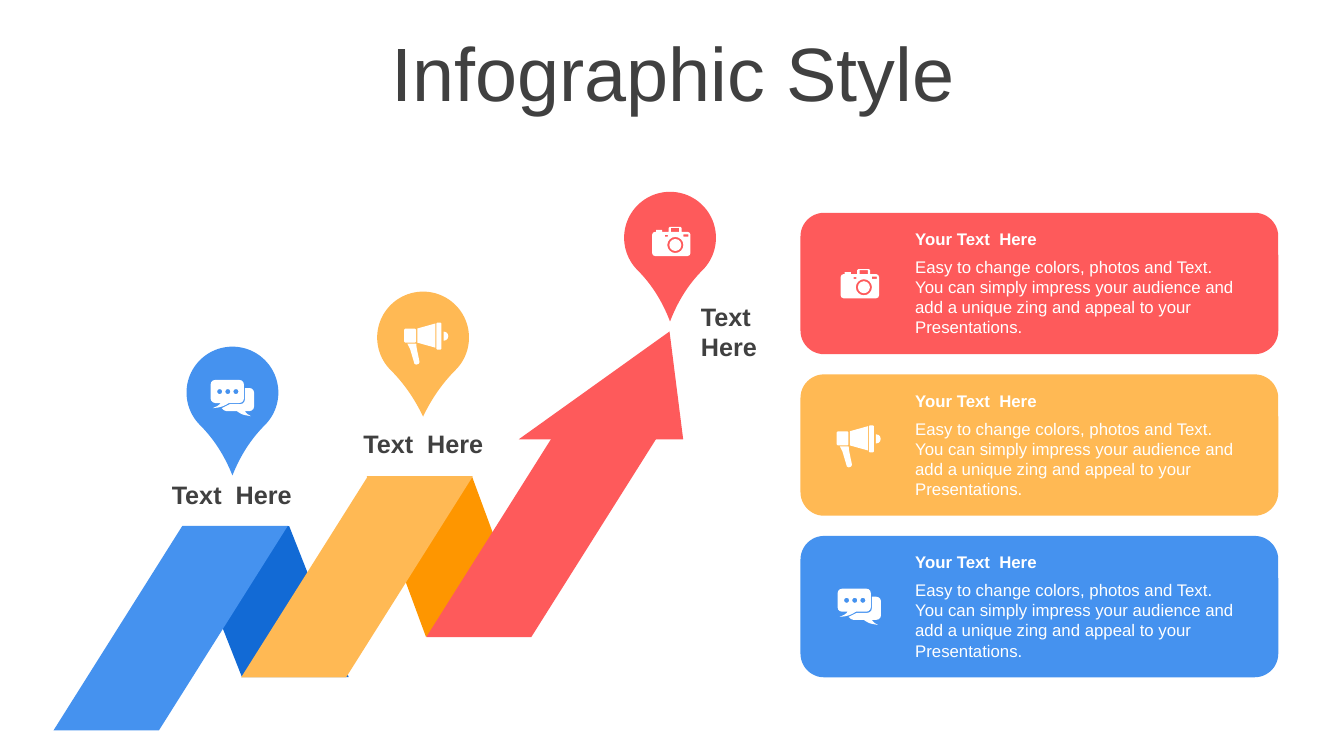
import math

import pptx
import pptx.dml.color
import pptx.enum.shapes
import pptx.enum.text
import pptx.util

Pt = pptx.util.Pt
RGBColor = pptx.dml.color.RGBColor
SHAPE = pptx.enum.shapes.MSO_SHAPE
ALIGN = pptx.enum.text.PP_ALIGN
ANCHOR = pptx.enum.text.MSO_ANCHOR


class Theme:
    font = "Arial"
    red = "FE5A5B"
    orange = "FFB954"
    dark_orange = "FE9600"
    blue = "4592EF"
    dark_blue = "126AD5"
    white = "FFFFFF"
    text = "404040"
    title_size = 54
    label_size = 18
    card_size = 12


def box(left, top, right, bottom, radius=0):
    """Return the corners of a rectangle as (x, y, radius)."""
    return [(left, top, radius), (right, top, radius),
            (right, bottom, radius), (left, bottom, radius)]


def round_corners(corners):
    """Turn (x, y, radius) corners into outline points, with more points on larger arcs."""
    points = []
    for index, (x, y, radius) in enumerate(corners):
        if not radius:
            points.append((Pt(x), Pt(y)))
            continue
        ends = []
        for neighbour in (corners[index - 1], corners[(index + 1) % len(corners)]):
            ratio = radius / math.dist((x, y), neighbour[:2])
            ends.append(((neighbour[0] - x) * ratio, (neighbour[1] - y) * ratio))
        steps = math.ceil((radius + 1) / 2)
        for step in range(steps + 1):
            t = step / steps
            start_weight = (1 - t) ** 3 + 1.35 * t * (1 - t) ** 2
            end_weight = t ** 3 + 1.35 * (1 - t) * t ** 2
            point = tuple(Pt(origin + start_weight * start + end_weight * end)
                          for origin, start, end in zip((x, y), *ends))
            if not points or math.dist(point, points[-1]) > Pt(0.05):
                points.append(point)
    return points


# Icon outlines in points from the icon's top left corner
camera = [
    [(0, 3.6, 2.1), (2.9, 3.6, 0), (2.9, 2.2, 0), (7.2, 2.2, 0), (7.2, 3.6, 0),
     (11.8, 3.6, 0), (11.8, 0, 0.8), (21, 0, 0.8), (21, 3.6, 0),
     (27.4, 3.6, 2.1), (27.4, 20.9, 2.1), (0, 20.9, 2.1)],
    box(13.5, 0.8, 19.4, 3.6),
    box(9.2, 5.7, 11.2, 7.1),
    box(22.3, 5.4, 25.9, 7.1),
    box(10.85, 7.25, 22.35, 18.75, 5.75),
    box(12.3, 8.7, 20.9, 17.3, 4.3),
]
megaphone = [
    [(2.3, 15.1, 0), (8.6, 15.1, 0), (8.9, 18, 0), (11.2, 29.3, 1),
     (7.6, 30.4, 1), (4.2, 18.9, 0)],
    [(28.1, 6.5, 0), (31.5, 6.5, 3.2), (31.5, 13, 3.2), (28.1, 13, 0)],
    box(0, 4.3, 8.5, 14.4, 0.8),
    [(9.4, 4.3, 0), (22.3, 0.7, 0), (22.3, 18, 0), (9.4, 14.4, 0)],
    box(23, 0, 26.6, 19.4, 0.7),
]
chat = [
    [(0, 0, 3.3), (23.8, 0, 3.3), (23.8, 16.5, 3.3), (13, 16.5, 0),
     (8.3, 19.4, 3), (1.5, 20.2, 0), (5.6, 18.3, 1), (7.2, 16.5, 0), (0, 16.5, 3.3)],
    [(24.5, 5.8, 0), (31, 5.8, 3.3), (31, 22.3, 3.3), (24.5, 22.3, 0),
     (25.4, 23.9, 1), (28.8, 25.9, 0), (22.5, 24.8, 2), (18.7, 22.3, 0),
     (10.2, 22.3, 1), (7.9, 20.2, 0), (13.7, 17.3, 0), (24.5, 17.3, 3.3)],
] + [box(4.6 + 5.8 * dot, 6.5, 8.3 + 5.8 * dot, 10.2, 1.85) for dot in range(3)]

# Colour, icon, pin place and tip length, icon place on the pin, icon place on the card
steps = [
    (Theme.red, camera, (445.8, 137), 1.29, (465.8, 162), (600.5, 192.2)),
    (Theme.orange, megaphone, (269.4, 208.3), 1.218, (288.7, 230.4), (597.6, 303.8)),
    (Theme.blue, chat, (133.2, 247.6), 1.276, (150.5, 271.4), (598.3, 420.5)),
]
pin_size = 65.6
card_left, card_top, card_width, card_height, card_pitch = 571.8, 152, 341.3, 101, 115.4

# Kind, left, top, width, height, adjustment, colour, rotation, vertical flip
shapes = [
    (SHAPE.PARALLELOGRAM, 262, 340.3, 117.4, 114.5, 0.369, Theme.dark_orange, 0, True),
    (SHAPE.PARALLELOGRAM, 130.3, 375.8, 118.8, 108, 0.394, Theme.dark_blue, 0, True),
    (SHAPE.PARALLELOGRAM, 38.2, 375.6, 167.4, 146.2, 0.63, Theme.blue, 0, False),
    (SHAPE.PARALLELOGRAM, 172.3, 340.3, 165.4, 143.5, 0.63, Theme.orange, 0, False),
    (SHAPE.PARALLELOGRAM, 304.5, 311.6, 165.4, 143.5, 0.63, Theme.red, 0, False),
    (SHAPE.ISOSCELES_TRIANGLE, 370.6, 236.8, 117.4, 77, 0.917, Theme.red, 0, False),
]

# Text, left, top, width, height, size, bold, colour, alignment
texts = [
    ("Infographic Style", 25.2, 26.6, 911.5, 56.9,
     Theme.title_size, False, Theme.text, ALIGN.CENTER),
    ("Text  Here", 109.4, 339.1, 112.3, 28.8, Theme.label_size, True, Theme.text, ALIGN.CENTER),
    ("Text  Here", 246.2, 302.4, 112.3, 28.8, Theme.label_size, True, Theme.text, ALIGN.CENTER),
    ("Text  Here", 493.6, 211.7, 65.5, 51.1, Theme.label_size, True, Theme.text, ALIGN.LEFT),
]
card_text = ("Easy to change colors, photos and Text. You can simply impress your audience "
             "and add a unique zing and appeal to your Presentations.")

for row, (color, icon, pin, tip, pin_icon, card_icon) in enumerate(steps):
    top = card_top + row * card_pitch
    shapes += [
        (SHAPE.TEAR, *pin, pin_size, pin_size, tip, color, 135, False),
        (SHAPE.ROUNDED_RECTANGLE, card_left, top, card_width, card_height,
         0.167, color, 0, False),
    ]
    texts += [
        ("Your Text  Here", 646.6, top + 8, 246.2, 21.6,
         Theme.card_size, True, Theme.white, ALIGN.LEFT),
        (card_text, 646.6, top + 27.8, 246.2, 65.5,
         Theme.card_size, False, Theme.white, ALIGN.LEFT),
    ]

presentation = pptx.Presentation()
presentation.slide_width, presentation.slide_height = Pt(960), Pt(540)
slide = presentation.slides.add_slide(presentation.slide_layouts[6])

for kind, left, top, width, height, adjustment, color, rotation, flipped in shapes:
    shape = slide.shapes.add_shape(kind, Pt(left), Pt(top), Pt(width), Pt(height))
    shape.adjustments[0] = adjustment
    shape.rotation = rotation
    if flipped:
        shape._element.spPr.get_or_add_xfrm().set("flipV", "1")
    shape.shadow.inherit = False
    shape.fill.solid()
    shape.fill.fore_color.rgb = RGBColor.from_string(color)
    shape.line.fill.background()

for color, icon, pin, tip, *icon_places in steps:
    outlines = [round_corners(corners) for corners in icon]
    for left, top in icon_places:
        builder = slide.shapes.build_freeform(*outlines[0][0])
        for outline in outlines:
            if outline is not outlines[0]:
                builder.move_to(*outline[0])
            builder.add_line_segments(outline[1:], close=True)
        shape = builder.convert_to_shape(Pt(left), Pt(top))
        shape.shadow.inherit = False
        shape.fill.solid()
        shape.fill.fore_color.rgb = RGBColor.from_string(Theme.white)
        shape.line.fill.background()

for text, left, top, width, height, size, bold, color, alignment in texts:
    text_box = slide.shapes.add_textbox(Pt(left), Pt(top), Pt(width), Pt(height))
    frame = text_box.text_frame
    frame.word_wrap = True
    paragraph = frame.paragraphs[0]
    paragraph.text = text
    paragraph.alignment = alignment
    paragraph.font.name = Theme.font
    paragraph.font.size = Pt(size)
    paragraph.font.bold = bold
    paragraph.font.color.rgb = RGBColor.from_string(color)
    if size == Theme.title_size:
        frame.vertical_anchor = ANCHOR.MIDDLE
        paragraph.line_spacing = 0.9

presentation.save("out.pptx")
